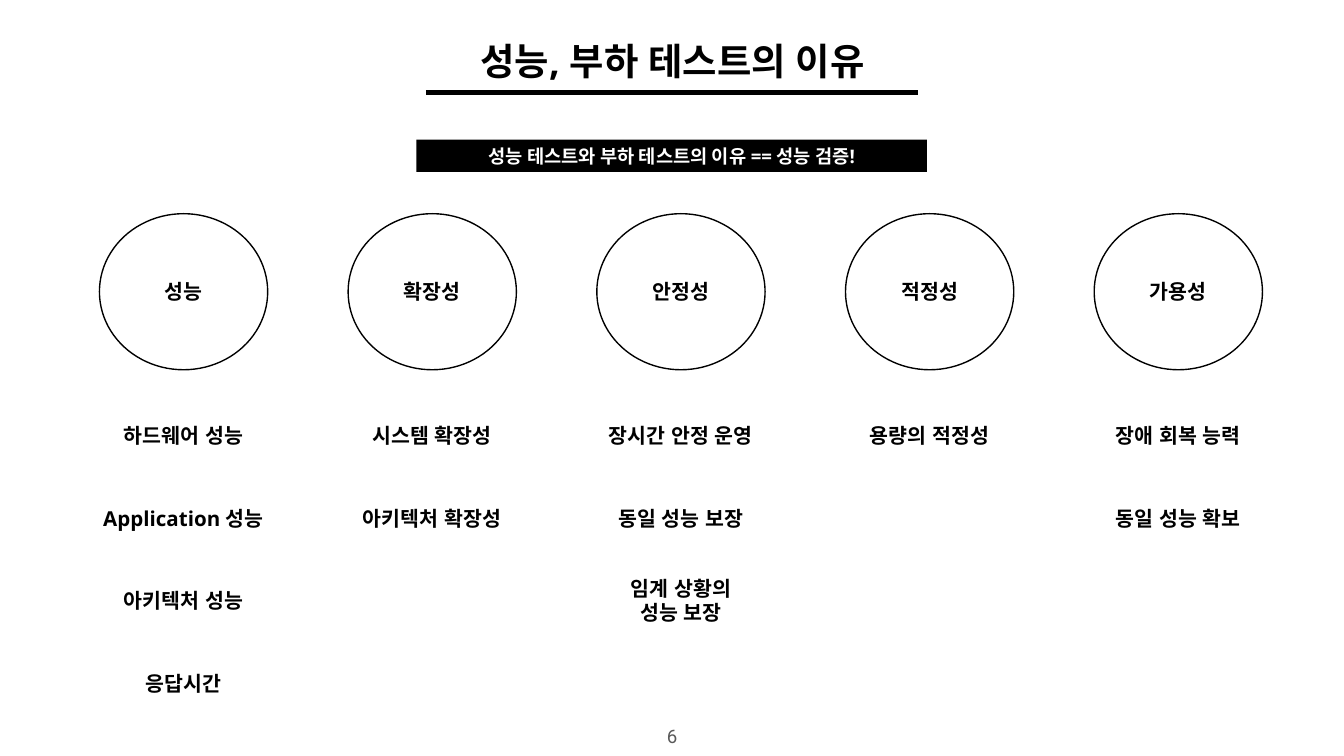
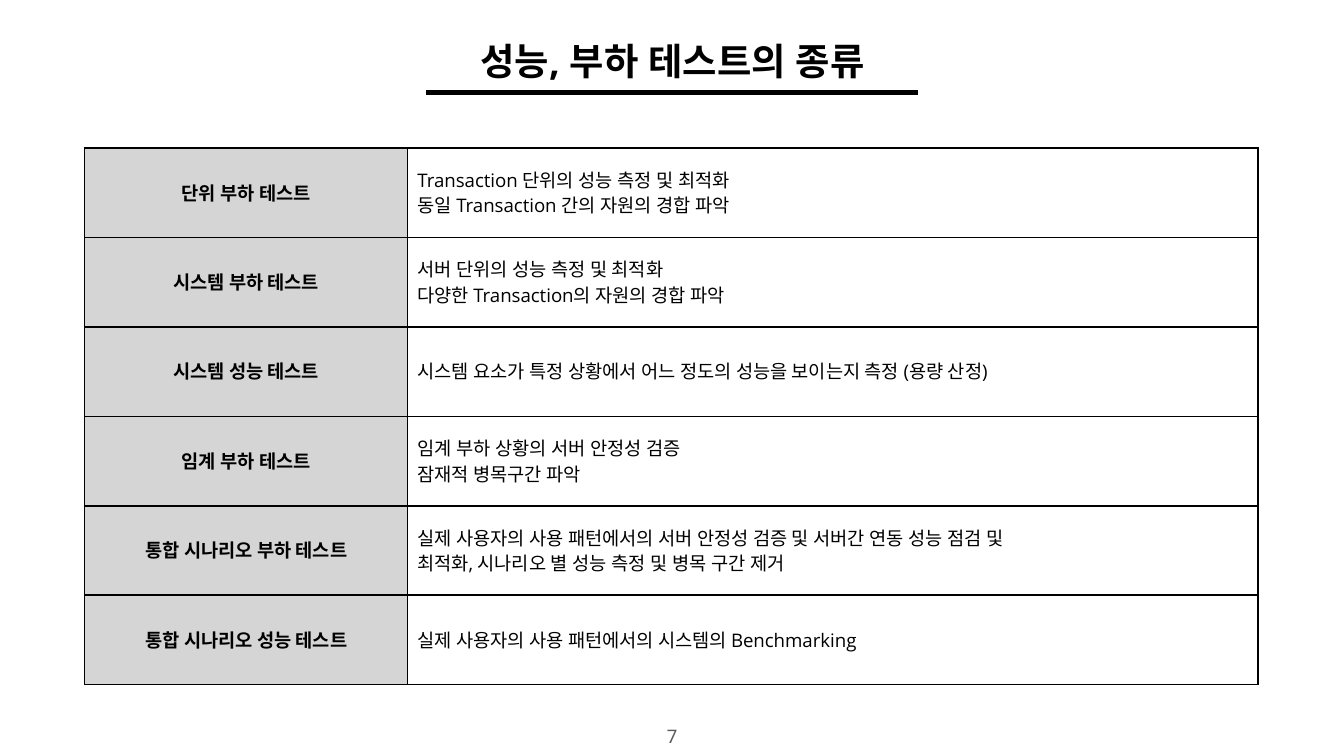
from lxml import etree
from pptx import Presentation
from pptx.dml.color import RGBColor
from pptx.enum import shapes, text
from pptx.oxml import ns
from pptx.util import Cm, Pt

BLACK = RGBColor(0x00, 0x00, 0x00)
WHITE = RGBColor(0xFF, 0xFF, 0xFF)
GREY = RGBColor(0x59, 0x59, 0x59)
HEADER_FILL = RGBColor(0xD6, 0xD5, 0xD5)

FIRST_PAGE = 6
TITLES = ["성능, 부하 테스트의 이유", "성능, 부하 테스트의 종류"]

# circle caption, then (label, width in cm) from top to bottom
REASONS = [
    ("성능", [("하드웨어 성능", 2.9), ("Application 성능", 3.86),
            ("아키텍처 성능", 2.9), ("응답시간", 1.9)]),
    ("확장성", [("시스템 확장성", 2.9), ("아키텍처 확장성", 3.3)]),
    ("안정성", [("장시간 안정 운영", 3.45), ("동일 성능 보장", 3.02),
             ("임계 상황의\n성능 보장", 2.46)]),
    ("적정성", [("용량의 적정성", 2.9)]),
    ("가용성", [("장애 회복 능력", 3.02), ("동일 성능 확보", 3.02)]),
]

TESTS = [
    ("단위 부하 테스트",
     "Transaction 단위의 성능 측정 및 최적화\n동일 Transaction 간의 자원의 경합 파악"),
    ("시스템 부하 테스트",
     "서버 단위의 성능 측정 및 최적화\n다양한 Transaction의 자원의 경합 파악"),
    ("시스템 성능 테스트",
     "시스템 요소가 특정 상황에서 어느 정도의 성능을 보이는지 측정 (용량 산정)"),
    ("임계 부하 테스트",
     "임계 부하 상황의 서버 안정성 검증\n잠재적 병목구간 파악"),
    ("통합 시나리오 부하 테스트",
     "실제 사용자의 사용 패턴에서의 서버 안정성 검증 및 서버간 연동 성능 점검 및\n"
     "최적화, 시나리오 별 성능 측정 및 병목 구간 제거"),
    ("통합 시나리오 성능 테스트",
     "실제 사용자의 사용 패턴에서의 시스템의 Benchmarking"),
]


def write(tf, words, size=11, bold=True, color=BLACK, font="Open Sans",
          align=text.PP_ALIGN.CENTER, margin=None, anchor=text.MSO_ANCHOR.MIDDLE):
    """Fill a text frame, one paragraph a line; margin=None leaves the frame itself alone."""
    if margin is not None:
        tf.word_wrap = True
        tf.auto_size = text.MSO_AUTO_SIZE.NONE
        tf.vertical_anchor = anchor
        tf.margin_left = tf.margin_right = tf.margin_top = tf.margin_bottom = Cm(margin)
    for i, line in enumerate(words.split("\n")):
        p = tf.paragraphs[0] if i == 0 else tf.add_paragraph()
        p.alignment = align
        r = p.add_run()
        r.text = line
        r.font.name, r.font.size, r.font.bold = font, Pt(size), bold
        r.font.color.rgb = color
        etree.SubElement(r._r.get_or_add_rPr(), ns.qn("a:ea"), typeface=font)


def add_box(s, kind, x, y, w, h, words, fill=WHITE, outline=False, **fmt):
    sp = s.shapes.add_shape(kind, Cm(x), Cm(y), Cm(w), Cm(h))
    sp.shadow.inherit = False
    sp.fill.solid()
    sp.fill.fore_color.rgb = fill
    if outline:
        sp.line.color.rgb = BLACK
        sp.line.width = Pt(0.75)
    else:
        sp.line.fill.background()
    write(sp.text_frame, words, margin=0.1, **fmt)


prs = Presentation()
prs.slide_width, prs.slide_height = Cm(25.4), Cm(14.29)

# Title, underline and page number on both slides
for page, title in enumerate(TITLES, FIRST_PAGE):
    s = prs.slides.add_slide(prs.slide_layouts[5])
    sp = s.shapes.title
    sp.left, sp.top, sp.width, sp.height = Cm(6.22), Cm(0.61), Cm(12.98), Cm(1.07)
    write(sp.text_frame, title, size=20, margin=0.25)

    rule = s.shapes.add_connector(shapes.MSO_CONNECTOR.STRAIGHT,
                                  Cm(8.05), Cm(1.75), Cm(17.35), Cm(1.75))
    rule.line.color.rgb = BLACK
    rule.line.width = Pt(2.25)
    etree.SubElement(rule._element.spPr, ns.qn("a:effectLst"))

    number = s.shapes.add_textbox(Cm(12.37), Cm(13.61), Cm(0.66), Cm(0.48))
    write(number.text_frame, str(page), size=10, bold=False, color=GREY,
          font="Roboto", margin=0.1, anchor=text.MSO_ANCHOR.TOP)

reasons_slide, types_slide = prs.slides

# Reasons: a banner, then a circle with its labels in each column
RECT, OVAL = shapes.MSO_SHAPE.RECTANGLE, shapes.MSO_SHAPE.OVAL
add_box(reasons_slide, RECT, 7.87, 2.64, 9.65, 0.61,
        "성능 테스트와 부하 테스트의 이유 == 성능 검증!", fill=BLACK, color=WHITE, size=10)

for col, (reason, labels) in enumerate(REASONS):
    center = 3.47 + 4.7 * col
    add_box(reasons_slide, OVAL, center - 1.59, 4.04, 3.18, 2.95, reason, outline=True)
    for row, (label, width) in enumerate(labels):
        middle = 8.23 + 1.56 * row
        height = 1.32 if "\n" in label else 0.76
        add_box(reasons_slide, RECT, center - width / 2, middle - height / 2,
                width, height, label)

# Types: a table of test name and purpose
ROW_HEIGHT = 1.69
frame = types_slide.shapes.add_table(len(TESTS), 2, Cm(1.6), Cm(2.8),
                                     Cm(22.18), Cm(ROW_HEIGHT * len(TESTS)))
table = frame.table
table.first_row = table.horz_banding = False
table.columns[0].width, table.columns[1].width = Cm(6.1), Cm(16.08)

for row, test in zip(table.rows, TESTS):
    row.height = Cm(ROW_HEIGHT)
    for cell, words in zip(row.cells, test):
        is_name = words == test[0]
        cell.vertical_anchor = text.MSO_ANCHOR.MIDDLE
        cell.margin_left = Cm(0.1 if is_name else 0.19)
        cell.margin_right = Cm(0.1)
        cell.margin_top = cell.margin_bottom = Cm(0.07)
        tcPr = cell._tc.get_or_add_tcPr()
        for side in ("lnL", "lnR", "lnT", "lnB"):
            ln = etree.SubElement(tcPr, ns.qn(f"a:{side}"), w=str(Pt(1)))
            solid = etree.SubElement(ln, ns.qn("a:solidFill"))
            etree.SubElement(solid, ns.qn("a:srgbClr"), val=str(BLACK))
        if is_name:
            cell.fill.solid()
            cell.fill.fore_color.rgb = HEADER_FILL
        else:
            cell.fill.background()
        write(cell.text_frame, words, size=10, bold=is_name,
              align=text.PP_ALIGN.CENTER if is_name else text.PP_ALIGN.LEFT)

prs.save("out.pptx")
